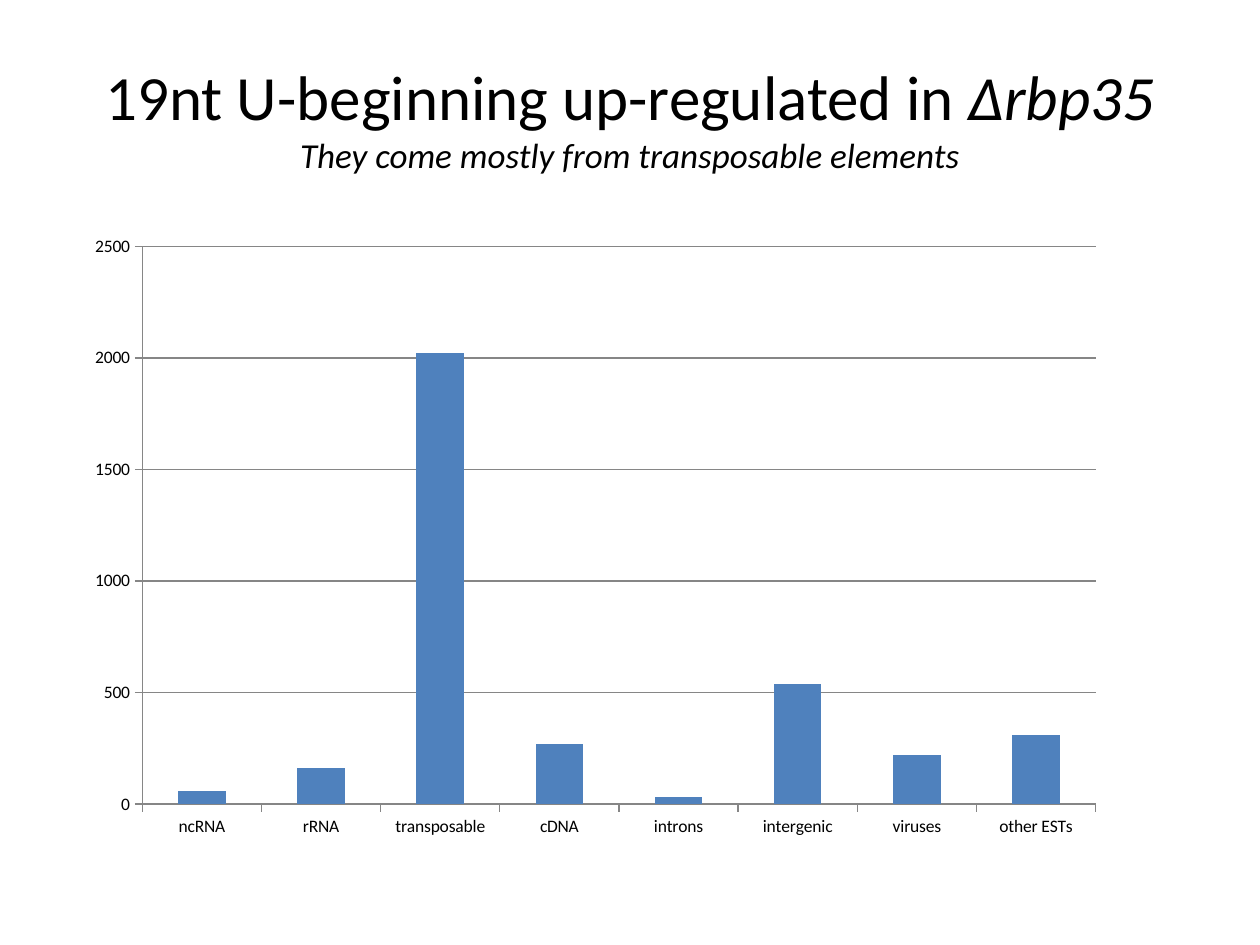
from pptx import Presentation
from pptx.chart.data import CategoryChartData
from pptx.dml.color import RGBColor
from pptx.enum.chart import XL_CHART_TYPE, XL_TICK_MARK
from pptx.enum.text import MSO_ANCHOR, PP_ALIGN
from pptx.util import Pt

FONT = "Calibri"
COUNTS = {
    "ncRNA": 60, "rRNA": 160, "transposable": 2020, "cDNA": 270,
    "introns": 30, "intergenic": 540, "viruses": 220, "other ESTs": 310,
}


def rgb(value):
    """Return the colour for a hex string."""
    return RGBColor.from_string(value)


def style_font(font, size, italic=False):
    """Set the slide's typeface, size and slant in black."""
    font.name = FONT
    font.size = Pt(size)
    font.italic = italic
    font.color.rgb = rgb("000000")


def add_title(slide, left, top, width, height):
    """Place the title and its italic second line in the given box."""
    sp = slide.shapes.title
    sp.left, sp.top, sp.width, sp.height = Pt(left), Pt(top), Pt(width), Pt(height)
    tf = sp.text_frame
    tf.word_wrap = True
    tf.vertical_anchor = MSO_ANCHOR.MIDDLE
    p = tf.paragraphs[0]
    p.alignment = PP_ALIGN.CENTER
    p.text = "19nt U-beginning up-regulated in "
    style_font(p.runs[0].font, 36)
    r = p.add_run()
    r.text = "∆rbp35"
    style_font(r.font, 36, italic=True)
    p.add_line_break()
    r = p.add_run()
    r.text = "They come mostly from transposable elements"
    style_font(r.font, 20, italic=True)


def add_counts_chart(slide, left, top, width, height):
    """Place the column chart of counts by origin in the given box."""
    data = CategoryChartData()
    data.categories = list(COUNTS)
    data.add_series("Series 1", list(COUNTS.values()))
    chart = slide.shapes.add_chart(
        XL_CHART_TYPE.COLUMN_CLUSTERED,
        Pt(left), Pt(top), Pt(width), Pt(height), data).chart
    chart.has_legend = False
    chart.has_title = False
    style_font(chart.font, 10)

    plot = chart.plots[0]
    plot.gap_width = 150
    plot.vary_by_categories = False
    fill = plot.series[0].format.fill
    fill.solid()
    fill.fore_color.rgb = rgb("4F81BD")

    axis = chart.value_axis
    axis.minimum_scale, axis.maximum_scale, axis.major_unit = 0, 2500, 500
    axis.has_major_gridlines = True
    for ax in (chart.category_axis, axis):
        ax.major_tick_mark = XL_TICK_MARK.OUTSIDE
    for part in (chart.category_axis, axis, axis.major_gridlines):
        part.format.line.color.rgb = rgb("868686")
        part.format.line.width = Pt(0.75)


def main():
    """Build and save the slide."""
    prs = Presentation()
    prs.slide_width, prs.slide_height = Pt(720), Pt(540)
    s = prs.slides.add_slide(prs.slide_layouts[5])
    add_title(s, 36, 21.6, 648, 90)
    add_counts_chart(s, 42.5, 128, 595.5, 357)
    prs.save("out.pptx")


if __name__ == "__main__":
    main()
